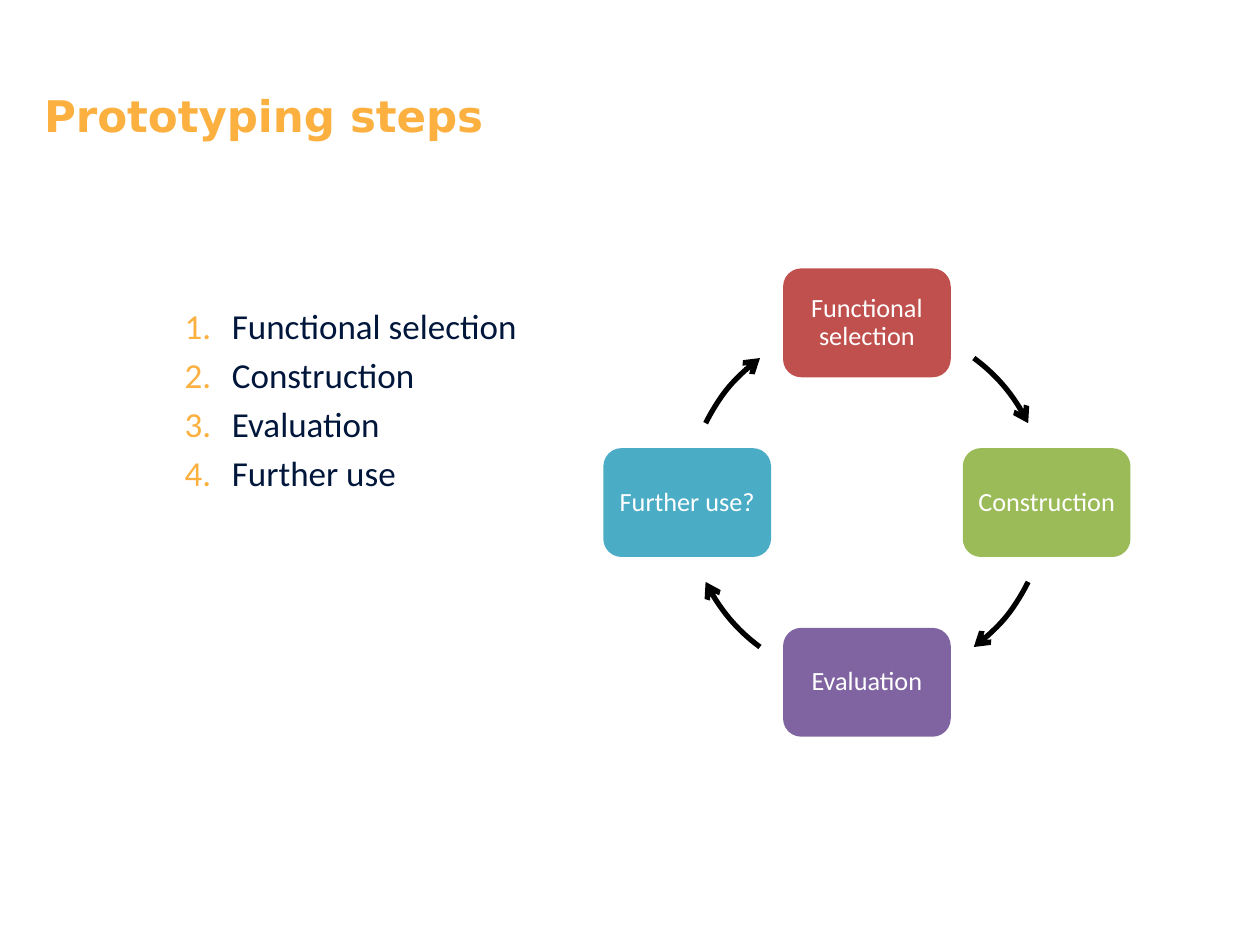
from math import cos, radians, sin

from lxml.etree import SubElement
from pptx import Presentation
from pptx.dml.color import RGBColor
from pptx.enum.shapes import MSO_SHAPE as Shape
from pptx.enum.text import MSO_ANCHOR as Anchor, MSO_AUTO_SIZE as AutoSize, PP_ALIGN as Align
from pptx.oxml.ns import qn
from pptx.util import Pt

ORANGE = RGBColor(0xFB, 0xB0, 0x40)
NAVY = RGBColor(0x00, 0x16, 0x3B)
WHITE = RGBColor(0xFF, 0xFF, 0xFF)
BLACK = RGBColor(0x00, 0x00, 0x00)
RED = RGBColor(0xC0, 0x50, 0x4D)
GREEN = RGBColor(0x9B, 0xBB, 0x59)
PURPLE = RGBColor(0x80, 0x64, 0xA2)
TEAL = RGBColor(0x4B, 0xAC, 0xC6)

STEPS = ["Functional selection", "Construction", "Evaluation", "Further use"]
NODES = [
    ("Functional selection", RED),
    ("Construction", GREEN),
    ("Evaluation", PURPLE),
    ("Further use?", TEAL),
]
CENTER_X, CENTER_Y, RADIUS = 495.4, 287.2, 102.7
NODE_WIDTH, NODE_HEIGHT, NODE_MARGIN = 95.8, 62.2, 4
# Start and end of each arrow, clockwise in degrees from three o'clock.
ARROW_ANGLES = [(306.5, 333.8), (26.2, 53.5), (126.5, 153.8), (206.2, 233.5)]


def write_text(paragraph, text, *, size, color, font="Calibri", bold=False,
               align=Align.LEFT, line_spacing=1.0):
    paragraph.text = text
    paragraph.alignment = align
    paragraph.line_spacing = line_spacing
    run_font = paragraph.runs[0].font
    run_font.name = font
    run_font.size = Pt(size)
    run_font.bold = bold
    run_font.color.rgb = color


def number_paragraph(paragraph, color):
    """Give the paragraph a hanging, coloured automatic number."""
    properties = paragraph._p.get_or_add_pPr()
    properties.set("marL", str(Pt(63)))
    properties.set("indent", str(Pt(-27)))
    number_color = SubElement(properties, qn("a:buClr"))
    SubElement(number_color, qn("a:srgbClr"), val=str(color))
    SubElement(properties, qn("a:buAutoNum"), type="arabicPeriod")


def add_title(slide, text):
    title = slide.shapes.title
    title.left, title.top, title.width, title.height = Pt(18), Pt(47.2), Pt(684), Pt(52.6)
    frame = title.text_frame
    frame.auto_size = AutoSize.NONE
    frame.vertical_anchor = Anchor.TOP
    write_text(frame.paragraphs[0], text, size=24.9, color=ORANGE,
               font="DejaVu Sans", bold=True)


def add_numbered_list(slide, items):
    box = slide.shapes.add_textbox(Pt(62.4), Pt(170.4), Pt(270), Pt(120))
    frame = box.text_frame
    frame.word_wrap = True
    for index, item in enumerate(items):
        paragraph = frame.add_paragraph() if index else frame.paragraphs[0]
        number_paragraph(paragraph, ORANGE)
        write_text(paragraph, item, size=20, color=NAVY)
        if index:
            paragraph.space_before = Pt(4)


def add_node(slide, text, color, angle):
    """Add a rounded box centred on the cycle at the given angle."""
    left = CENTER_X + RADIUS * cos(radians(angle)) - NODE_WIDTH / 2
    top = CENTER_Y + RADIUS * sin(radians(angle)) - NODE_HEIGHT / 2
    node = slide.shapes.add_shape(Shape.ROUNDED_RECTANGLE, Pt(left), Pt(top),
                                  Pt(NODE_WIDTH), Pt(NODE_HEIGHT))
    node.shadow.inherit = False
    node.fill.solid()
    node.fill.fore_color.rgb = color
    node.line.fill.background()
    frame = node.text_frame
    frame.word_wrap = True
    frame.vertical_anchor = Anchor.MIDDLE
    frame.margin_left = frame.margin_right = Pt(NODE_MARGIN)
    frame.margin_top = frame.margin_bottom = Pt(NODE_MARGIN)
    write_text(frame.paragraphs[0], text, size=15, color=WHITE,
               align=Align.CENTER, line_spacing=0.9)


def add_arc_arrow(slide, start, end):
    arc = slide.shapes.add_shape(Shape.ARC, Pt(CENTER_X - RADIUS), Pt(CENTER_Y - RADIUS),
                                 Pt(2 * RADIUS), Pt(2 * RADIUS))
    # Angles are stored in 1/60000 degree, adjustments in units of 100000.
    arc.adjustments[0] = start * 0.6
    arc.adjustments[1] = end * 0.6
    arc.shadow.inherit = False
    arc.fill.background()
    arc.line.color.rgb = BLACK
    arc.line.width = Pt(3)
    SubElement(arc.line._get_or_add_ln(), qn("a:tailEnd"), type="arrow")


def main():
    presentation = Presentation()
    presentation.slide_width, presentation.slide_height = Pt(720), Pt(540)
    slide = presentation.slides.add_slide(presentation.slide_layouts[5])
    add_title(slide, "Prototyping steps")
    add_numbered_list(slide, STEPS)
    for index, ((text, color), angles) in enumerate(zip(NODES, ARROW_ANGLES)):
        add_node(slide, text, color, index * 90 - 90)
        add_arc_arrow(slide, *angles)
    presentation.save("out.pptx")


if __name__ == "__main__":
    main()
